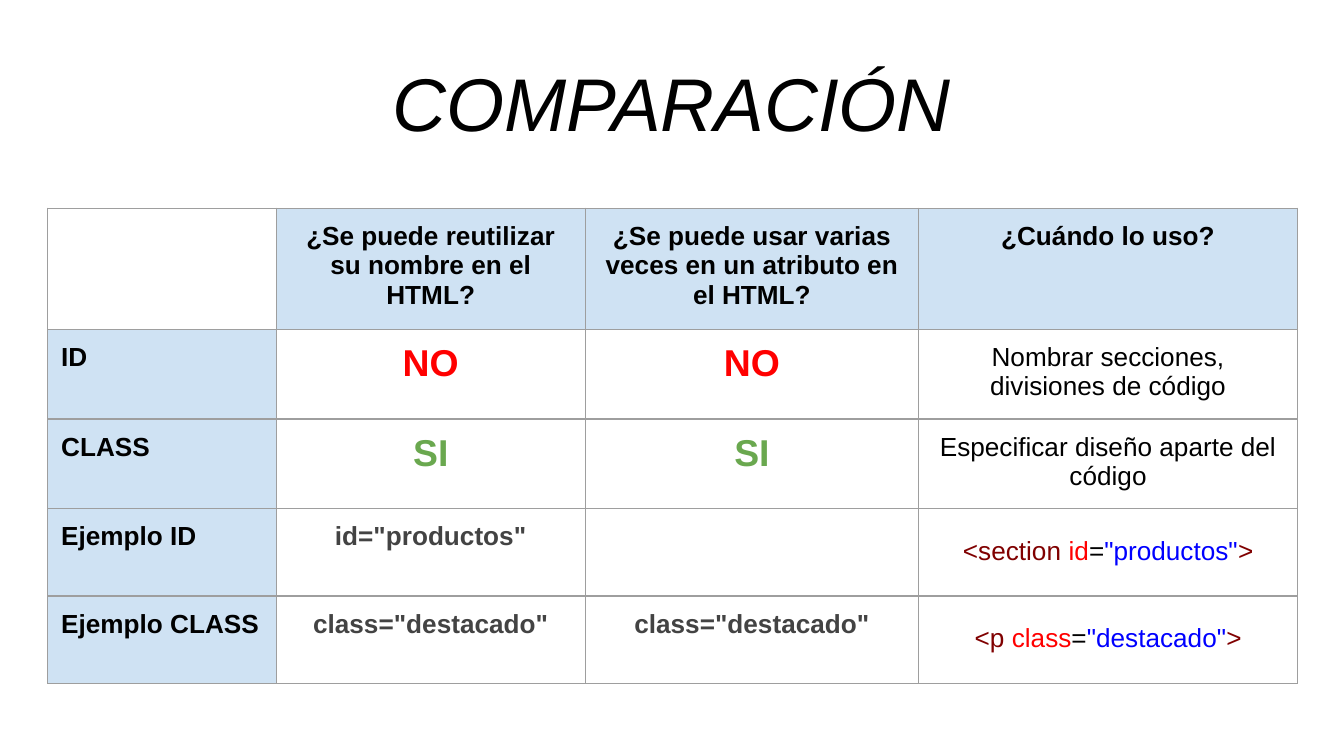
from pptx import Presentation
from pptx.dml.color import RGBColor as RGB
from pptx.enum.text import PP_ALIGN as Align
from pptx.oxml import parse_xml as to_xml
from pptx.oxml.ns import nsdecls
from pptx.util import Pt

PX = 4572  # EMU per px, 200 px to the inch
PAD = 20 * PX
BLACK = RGB(0, 0, 0)
WHITE = RGB(255, 255, 255)
RED = RGB(0xFF, 0, 0)
GREEN = RGB(0x6A, 0xA8, 0x4F)
GRAY = RGB(0x43, 0x43, 0x43)
MAROON = RGB(0x80, 0, 0)
BLUE = RGB(0, 0, 0xFF)
PALE = RGB(0xCF, 0xE2, 0xF3)
EDGE = RGB(0x9E, 0x9E, 0x9E)


def write(frame, text, size=14, color=BLACK, bold=False, italic=False,
          align=Align.CENTER, lead=None):
    """Put text, or a list of (text, color) runs, in a frame."""
    para = frame.paragraphs[0]
    para.alignment = align
    if lead:
        para.line_spacing = lead
    runs = [(text, color)] if isinstance(text, str) else text
    for part, tint in runs:
        run = para.add_run()
        run.text = part
        font = run.font
        font.name, font.size = "Arial", Pt(size)
        font.bold, font.italic = bold, italic
        font.color.rgb = tint


def tag(name, attr, value):
    """Colored runs of an HTML tag with one attribute."""
    return [(f"<{name}", MAROON), (" ", BLACK), (attr, RED), ("=", BLACK),
            (f'"{value}"', BLUE), (">", MAROON)]


class Deck:
    def __init__(self, wide, high):
        self.prs = Presentation()
        self.prs.slide_width, self.prs.slide_height = wide * PX, high * PX
        self.slide = self.prs.slides.add_slide(self.prs.slide_layouts[6])
        fill = self.slide.background.fill
        fill.solid()
        fill.fore_color.rgb = WHITE

    def pad(self, box):
        box.margin_left = box.margin_right = PAD
        box.margin_top = box.margin_bottom = PAD

    def title(self, text, x, y, w, h):
        box = self.slide.shapes.add_textbox(x * PX, y * PX, w * PX, h * PX)
        frame = box.text_frame
        frame.word_wrap = True
        self.pad(frame)
        write(frame, text, size=40, italic=True, lead=1.15)

    def table(self, x, y, cols, rows):
        shape = self.slide.shapes.add_table(
            len(rows), len(cols), x * PX, y * PX, sum(cols) * PX, sum(rows) * PX)
        grid = shape.table
        grid.first_row = grid.horz_banding = False
        for col, w in zip(grid.columns, cols):
            col.width = w * PX
        for row, h in zip(grid.rows, rows):
            row.height = h * PX
        return grid

    def cell(self, cell, text, fill=None, **style):
        self.pad(cell)
        props = cell._tc.get_or_add_tcPr()
        for side in ("lnL", "lnR", "lnT", "lnB"):
            props.append(to_xml(
                f'<a:{side} {nsdecls("a")} w="{Pt(0.75)}"><a:solidFill>'
                f'<a:srgbClr val="{EDGE}"/></a:solidFill></a:{side}>'))
        if fill is None:
            cell.fill.background()
        else:
            cell.fill.solid()
            cell.fill.fore_color.rgb = fill
        if text:
            write(cell.text_frame, text, **style)


# Formats of the cells
HEAD = dict(fill=PALE, bold=True)
SIDE = dict(HEAD, align=Align.LEFT)
NO = ("NO", dict(size=20, color=RED, bold=True))
YES = ("SI", dict(size=20, color=GREEN, bold=True))
SHOW = dict(color=GRAY, bold=True)
CODE = dict(lead=1.5)
NONE = ("", {})
CLASS = ('class="destacado"', SHOW)

ROWS = [
    [NONE,
     ("¿Se puede reutilizar su nombre en el HTML?", HEAD),
     ("¿Se puede usar varias veces en un atributo en el HTML?", HEAD),
     ("¿Cuándo lo uso?", HEAD)],
    [("ID", SIDE), NO, NO, ("Nombrar secciones, divisiones de código", {})],
    [("CLASS", SIDE), YES, YES, ("Especificar diseño aparte del código", {})],
    [("Ejemplo ID", SIDE), ('id="productos"', SHOW), NONE,
     (tag("section", "id", "productos"), CODE)],
    [("Ejemplo CLASS", SIDE), CLASS, CLASS,
     (tag("p", "class", "destacado"), CODE)],
]

deck = Deck(2000, 1125)

# Title
deck.title("COMPARACIÓN", 318, 44, 1364, 152)

# Comparison table
grid = deck.table(71, 310, [340, 460, 496, 564], [175] + [130] * 4)
for r, row in enumerate(ROWS):
    for c, (text, style) in enumerate(row):
        deck.cell(grid.cell(r, c), text, **style)

deck.prs.save("out.pptx")
